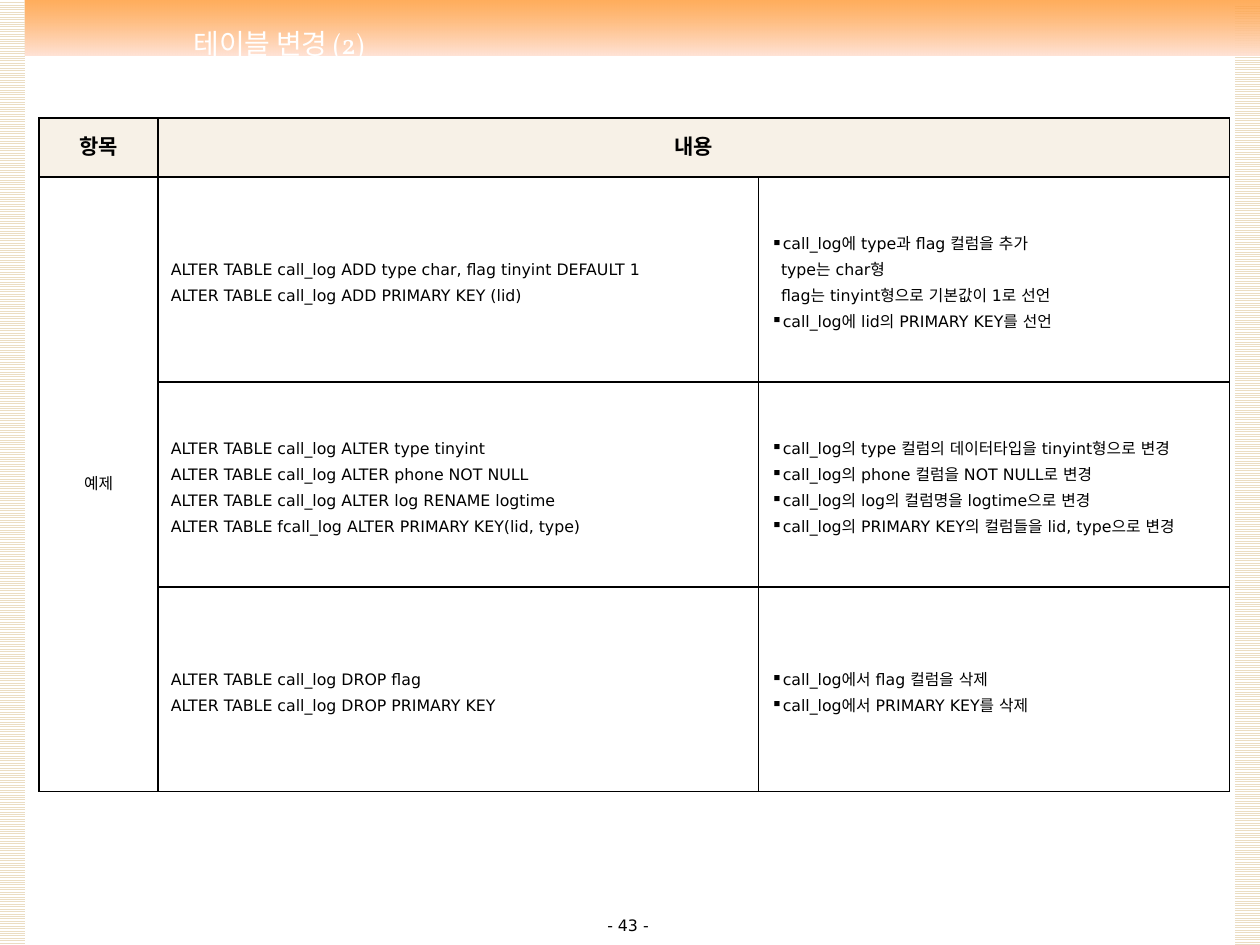
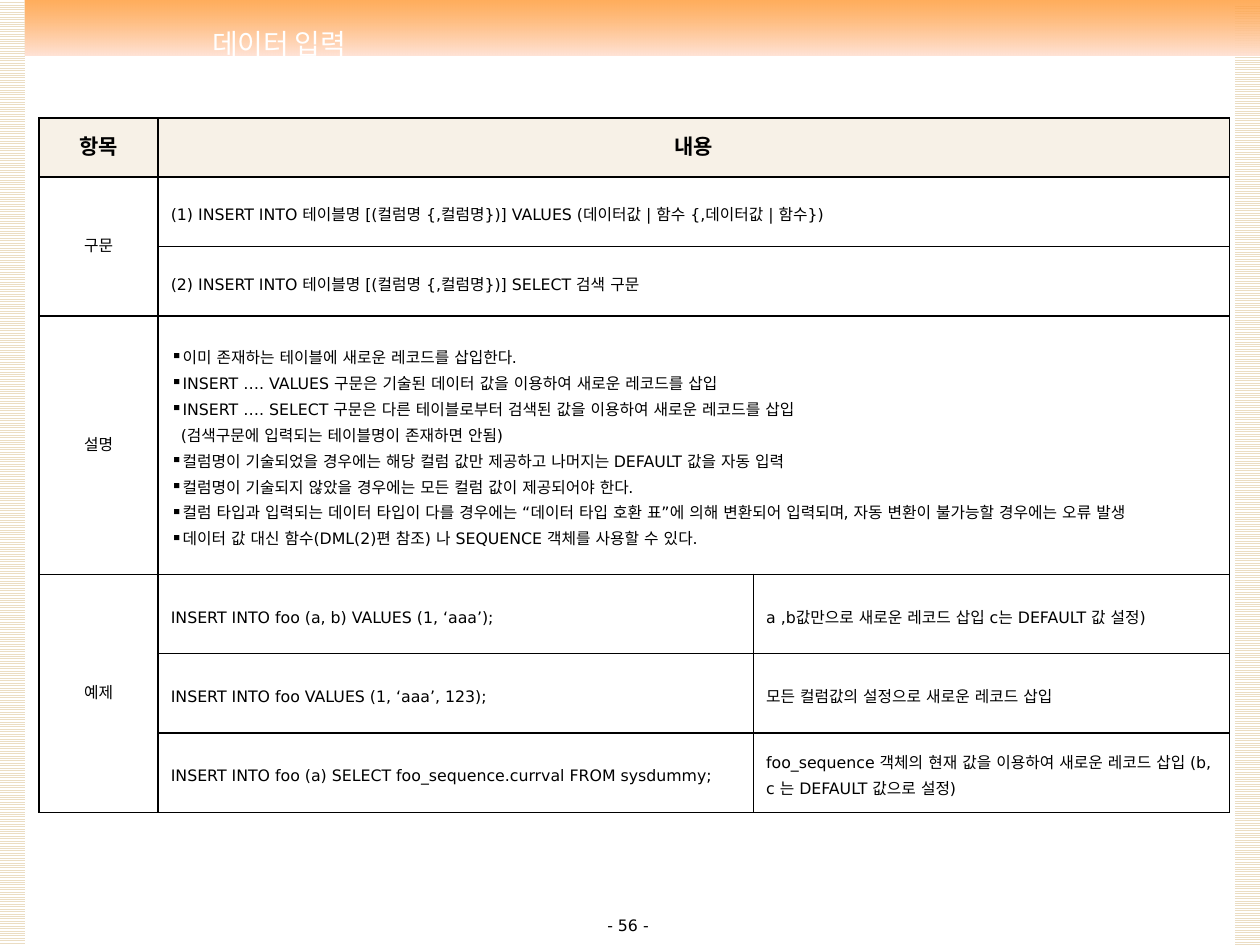
from pptx import Presentation
from pptx.dml.color import RGBColor
from pptx.enum.dml import MSO_PATTERN
from pptx.enum.shapes import MSO_SHAPE
from pptx.enum.text import MSO_ANCHOR, PP_ALIGN
from pptx.oxml.ns import qn
from pptx.util import Cm, Pt
from lxml.etree import SubElement

BLACK = RGBColor(0x00, 0x00, 0x00)
WHITE = RGBColor(0xFF, 0xFF, 0xFF)
SAND = RGBColor(0xEB, 0xDD, 0xC3)
CREAM = RGBColor(0xF7, 0xF1, 0xE7)
ORANGE = RGBColor(0xFF, 0x99, 0x33)
PEACH = RGBColor(0xFF, 0xE3, 0xD6)
BODY_FONT, TITLE_FONT = "DejaVu Sans", "Vollkorn"
BULLET = "▪"
HANG = Cm(0.2)
SLIDE_W, SLIDE_H = 25.4, 19.05
TITLE_BOX = (0.71, 0.41, 9.83, 0.91)
PAGE_BOX = (9.7, 18.34, 5.92, 0.48)
TABLE_BOX = (0.79, 2.38, 24)
LABEL_W, HEADER_H = 2.4, 1.19

ALTER_ROWS = [
    (4.13, ["예제"], [
        "ALTER TABLE call_log ADD type char, flag tinyint DEFAULT 1",
        "ALTER TABLE call_log ADD PRIMARY KEY (lid)"], [
        "▪call_log에 type과 flag 컬럼을 추가",
        "type는 char형",
        "flag는 tinyint형으로 기본값이 1로 선언",
        "▪call_log에 lid의 PRIMARY KEY를 선언"]),
    (4.13, None, [
        "ALTER TABLE call_log ALTER type tinyint",
        "ALTER TABLE call_log ALTER phone NOT NULL",
        "ALTER TABLE call_log ALTER log RENAME logtime",
        "ALTER TABLE fcall_log ALTER PRIMARY KEY(lid, type)"], [
        "▪call_log의 type 컬럼의 데이터타입을 tinyint형으로 변경",
        "▪call_log의 phone 컬럼을 NOT NULL로 변경",
        "▪call_log의 log의 컬럼명을 logtime으로 변경",
        "▪call_log의 PRIMARY KEY의 컬럼들을 lid, type으로 변경"]),
    (4.13, None, [
        "ALTER TABLE call_log DROP flag",
        "ALTER TABLE call_log DROP PRIMARY KEY"], [
        "▪call_log에서 flag 컬럼을 삭제",
        "▪call_log에서 PRIMARY KEY를 삭제"]),
]
INSERT_ROWS = [
    (1.4, ["구문"], ["(1) INSERT INTO 테이블명 [(컬럼명 {,컬럼명})] VALUES (데이터값 | 함수 {,데이터값 | 함수})"], None),
    (1.4, None, ["(2) INSERT INTO 테이블명 [(컬럼명 {,컬럼명})] SELECT 검색 구문"], None),
    (5.21, ["설명"], [
        "▪이미 존재하는 테이블에 새로운 레코드를 삽입한다.",
        "▪INSERT …. VALUES 구문은 기술된 데이터 값을 이용하여 새로운 레코드를 삽입",
        "▪INSERT …. SELECT 구문은 다른 테이블로부터 검색된 값을 이용하여 새로운 레코드를 삽입",
        "(검색구문에 입력되는 테이블명이 존재하면 안됨)",
        "▪컬럼명이 기술되었을 경우에는 해당 컬럼 값만 제공하고 나머지는 DEFAULT 값을 자동 입력",
        "▪컬럼명이 기술되지 않았을 경우에는 모든 컬럼 값이 제공되어야 한다.",
        "▪컬럼 타입과 입력되는 데이터 타입이 다를 경우에는 “데이터 타입 호환 표”에 의해 변환되어 입력되며, "
        "자동 변환이 불가능할 경우에는 오류 발생",
        "▪데이터 값 대신 함수(DML(2)편 참조) 나 SEQUENCE 객체를 사용할 수 있다."], None),
    (1.6, ["예제"], ["INSERT INTO foo (a, b) VALUES (1, ‘aaa’);"],
     ["a ,b값만으로 새로운 레코드 삽입 c는 DEFAULT 값 설정)"]),
    (1.6, None, ["INSERT INTO foo VALUES (1, ‘aaa’, 123);"],
     ["모든 컬럼값의 설정으로 새로운 레코드 삽입"]),
    (1.6, None, ["INSERT INTO foo (a) SELECT foo_sequence.currval FROM sysdummy;"],
     ["foo_sequence 객체의 현재 값을 이용하여 새로운 레코드 삽입 (b, c 는 DEFAULT 값으로 설정)"]),
]


def write(tf, lines, size=9, font=BODY_FONT, color=BLACK, bold=False,
          align=PP_ALIGN.LEFT, spacing=None, before=0):
    """Fill a text frame with lines; a leading bullet mark makes a bullet."""
    tf.word_wrap = True
    bulleted = any(line.startswith(BULLET) for line in lines)
    for i, line in enumerate(lines):
        p = tf.add_paragraph() if i else tf.paragraphs[0]
        p.alignment, p.line_spacing, p.space_before = align, spacing, Pt(before)
        if bulleted:
            hang(p, line.startswith(BULLET))
        r = p.add_run()
        r.text = line.removeprefix(BULLET)
        r.font.size, r.font.name, r.font.bold = Pt(size), font, bold
        r.font.color.rgb = color
        SubElement(r.font._element, qn("a:ea"), typeface=font)


def hang(p, marked):
    """Indent a paragraph of a list and give it a bullet if marked."""
    pPr = p._p.get_or_add_pPr()
    pPr.set("marL", str(HANG))
    pPr.set("indent", str(-HANG if marked else 0))
    if marked:
        clr = SubElement(pPr, qn("a:buClr"))
        SubElement(clr, qn("a:srgbClr"), val=str(BLACK))
        SubElement(pPr, qn("a:buChar"), char=BULLET)


def add_rect(slide, box):
    """Add a rectangle without line or shadow."""
    sp = slide.shapes.add_shape(MSO_SHAPE.RECTANGLE, *map(Cm, box))
    sp.shadow.inherit = False
    sp.line.fill.background()
    return sp


def add_stripes(slide, box):
    """Add a side strip of light horizontal lines."""
    fill = add_rect(slide, box).fill
    fill.patterned()
    fill.pattern = MSO_PATTERN.LIGHT_HORIZONTAL
    fill.fore_color.rgb, fill.back_color.rgb = SAND, WHITE


def add_band(slide, box):
    """Add the top band, fading downwards from orange to peach."""
    sp = add_rect(slide, box)
    sp.fill.gradient()
    sp.fill.gradient_angle = 270
    for stop, color in zip(sp.fill.gradient_stops, (ORANGE, PEACH)):
        stop.color.rgb = color
    start = sp._element.xpath(".//a:gs/a:srgbClr")[0]
    SubElement(start, qn("a:alpha"), val="80000")


def add_frame(slide, title, page):
    """Add the bands, the title and the page number."""
    add_stripes(slide, (SLIDE_W - 0.5, 0.08, 0.53, SLIDE_H - 0.08))
    add_band(slide, (-0.03, 0, SLIDE_W + 0.06, 1.12))
    add_stripes(slide, (-0.03, 0, 0.53, SLIDE_H))
    tx = slide.shapes.add_textbox(*map(Cm, PAGE_BOX))
    write(tx.text_frame, [f"- {page} -"], align=PP_ALIGN.CENTER)
    sp = slide.shapes.title
    sp.left, sp.top, sp.width, sp.height = map(Cm, TITLE_BOX)
    sp.text_frame.vertical_anchor = MSO_ANCHOR.MIDDLE
    write(sp.text_frame, [title], size=16, font=TITLE_FONT, color=WHITE, align=PP_ALIGN.CENTER)
    slide.shapes._spTree.append(sp._element)


def style_cell(cell, fill=None):
    """Give a cell black borders, middle anchoring and its fill."""
    cell.vertical_anchor = MSO_ANCHOR.MIDDLE
    tcPr = cell._tc.get_or_add_tcPr()
    for side in ("lnL", "lnR", "lnT", "lnB"):
        ln = SubElement(tcPr, qn(f"a:{side}"), w=str(Pt(1)))
        SubElement(SubElement(ln, qn("a:solidFill")), qn("a:srgbClr"), val=str(BLACK))
    if fill is None:
        cell.fill.background()
    else:
        cell.fill.solid()
        cell.fill.fore_color.rgb = fill


def add_syntax_table(slide, box, middle_w, rows):
    """Add the table; no label continues the one above, no third cell widens the second."""
    left, top, width = box
    rows = [(HEADER_H, ["항목"], ["내용"], None)] + rows
    height = sum(row[0] for row in rows)
    table = slide.shapes.add_table(len(rows), 3, *map(Cm, (left, top, width, height))).table
    table.first_row = table.horz_banding = False
    for col, w in zip(table.columns, (LABEL_W, middle_w, width - LABEL_W - middle_w)):
        col.width = Cm(w)
    starts = [i for i, row in enumerate(rows) if row[1]]
    for first, after in zip(starts, starts[1:] + [len(rows)]):
        if after - first > 1:
            table.cell(first, 0).merge(table.cell(after - 1, 0))
    for i, (h, *texts) in enumerate(rows):
        table.rows[i].height = Cm(h)
        if texts[2] is None:
            table.cell(i, 1).merge(table.cell(i, 2))
        for j, lines in enumerate(texts):
            cell = table.cell(i, j)
            style_cell(cell, CREAM if i == 0 else None)
            if not lines:
                continue
            if i == 0:
                write(cell.text_frame, lines, size=12, bold=True, align=PP_ALIGN.CENTER, before=2.4)
            elif j == 0:
                write(cell.text_frame, lines, align=PP_ALIGN.CENTER)
            else:
                write(cell.text_frame, lines, spacing=1.4)


def add_syntax_slide(prs, title, page, middle_w, rows):
    """Add one slide with its frame and table."""
    slide = prs.slides.add_slide(prs.slide_layouts[5])
    add_frame(slide, title, page)
    add_syntax_table(slide, TABLE_BOX, middle_w, rows)


def main():
    """Build and save the presentation."""
    prs = Presentation()
    prs.slide_width, prs.slide_height = Cm(SLIDE_W), Cm(SLIDE_H)
    add_syntax_slide(prs, "테이블 변경 (2)", 43, 12.1, ALTER_ROWS)
    add_syntax_slide(prs, "데이터 입력", 56, 12, INSERT_ROWS)
    prs.save("out.pptx")


if __name__ == "__main__":
    main()
